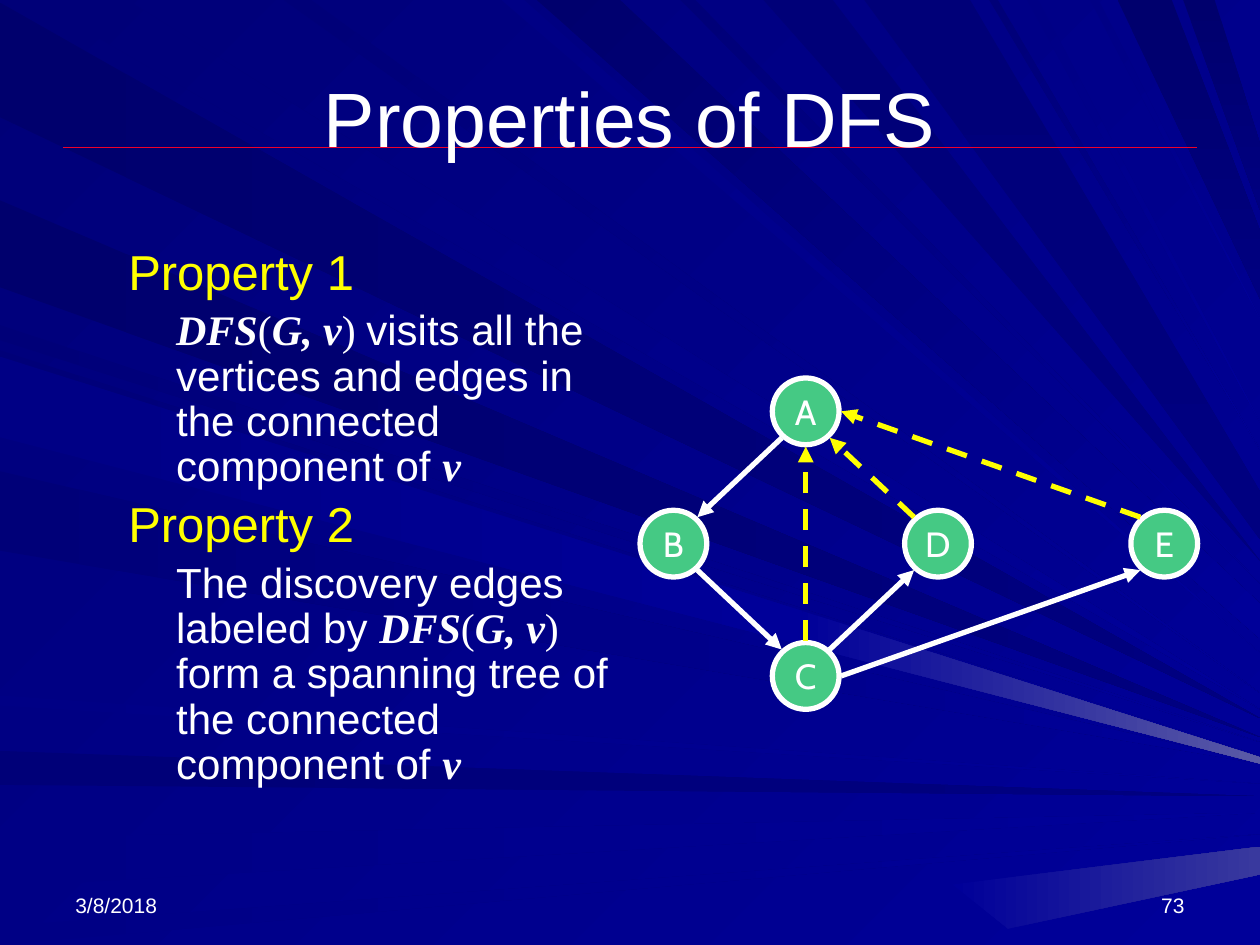
"""Builds the slide on the properties of depth-first search, with its traversal graph."""
from lxml import etree
from pptx import Presentation
from pptx.dml.color import RGBColor
from pptx.enum.dml import MSO_LINE
from pptx.enum.shapes import MSO_CONNECTOR, MSO_SHAPE
from pptx.enum.text import MSO_ANCHOR, PP_ALIGN
from pptx.oxml.ns import qn
from pptx.util import Inches, Pt

STRAIGHT, ELLIPSE, DASH = MSO_CONNECTOR.STRAIGHT, MSO_SHAPE.OVAL, MSO_LINE.DASH
TOP, MIDDLE, BOTTOM = MSO_ANCHOR.TOP, MSO_ANCHOR.MIDDLE, MSO_ANCHOR.BOTTOM
LEFT, CENTER, RIGHT = PP_ALIGN.LEFT, PP_ALIGN.CENTER, PP_ALIGN.RIGHT

THEME = {
    "white": "FFFFFF", "yellow": "FFFF00", "green": "45C984", "red": "EF0129",
    "night": "00006D", "deep": "000078", "navy": "000080", "dusk": "000085",
    "blue": "000099", "haze": "39399E", "glow": "5A5AA6",
    "sans": "Arial", "serif": "Times New Roman", "label": "Cabin",
    "title": 44, "heading": 28, "body": 24, "node": 20, "footer": 12,
    "stroke": 3, "rule": 0.75,
}

TITLE = "Properties of DFS"
CALL = [("DFS", "math"), ("(", "serif"), ("G, v", "math"), (") ", "serif")]
PROPERTIES = [
    ("Property 1", CALL + [
        ("visits all the vertices and edges in the connected component of ", "sans"), ("v", "math")]),
    ("Property 2", [("The discovery edges labeled by ", "sans")] + CALL + [
        ("form a spanning tree of the connected component of ", "sans"), ("v", "math")]),
]
FOOTERS = [("3/8/2018", 0.5, LEFT), ("73", 7.17, RIGHT)]

WIDTH, HEIGHT = 10, 7.5
NODE_SIZE, STEP = 0.53, 1.05
GRAPH_LEFT, GRAPH_TOP = 5.08, 3
NODES = {"D": (2, 1), "B": (0, 1), "A": (1, 0), "C": (1, 2), "E": (3.71, 1)}
REACH_X, REACH_Y, REACH = 0.19, 0.21, 0.28
PORTS = {
    "N": (0, -REACH), "S": (0, REACH), "E": (REACH, 0),
    "NW": (-REACH_X, -REACH_Y), "NE": (REACH_X, -REACH_Y),
    "SW": (-REACH_X, REACH_Y), "SE": (REACH_X, REACH_Y),
}
DISCOVERY_EDGES = [("A", "SW", "B", "NE"), ("B", "SE", "C", "NW"),
                   ("C", "NE", "D", "SW"), ("C", "E", "E", "SW")]
BACK_EDGES = [("D", "NW", "A", "SE"), ("C", "N", "A", "S"), ("E", "NW", "A", "E")]

LEFT_RAYS = [
    ("night", "navy", (0.02, 0.93, 5.7)), ("deep", "blue", (2.58, 2.7, 5.89)),
    ("night", "navy", (1.59, 2.28, 5.85)), ("deep", "navy", (5.96, 6.23, 6.32)),
    ("dusk", "blue", (6.65, 7.04, 6.45)), ("dusk", "blue", (7.35, 7.5, 6.62)),
    ("deep", "blue", (2.78, 3.42, 6)), ("deep", "blue", (3.74, 4.37, 6.06)),
    ("dusk", "blue", (5.52, 5.6, 6.22)),
]
TOP_RAYS = [
    ("deep", "blue", (0.26, 1.01, 5.63)), ("dusk", "blue", (3.98, 4.16, 5.18)),
    ("night", "blue", (4.26, 4.92, 4.79, 5.07)), ("deep", "blue", (5.4, 5.52, 4.63)),
    ("deep", "navy", (6.06, 6.61, 4.45)), ("night", "navy", (8.87, 9.3, 1.83, 2.37)),
    ("night", "navy", (9.39, 9.64, 1.14, 1.67)), ("deep", "blue", (2.25, 2.47, 5.5)),
    ("deep", "navy", (6.86, 7.7, 3.9, 4.28)), ("deep", "blue", (7.85, 7.92, 3.57)),
    ("dusk", "blue", (8.15, 8.24, 3.35)), ("dusk", "blue", (8.65, 8.72, 2.53)),
]
GLINTS = [
    ("blue", "haze", [(7.56, 7.02), (10, 6.72), (10, 6.94), (8, 7.37)]),
    ("dusk", "blue", [(0, 2.83), (6.37, 4.85), (6.33, 5.11), (0, 3.47)]),
    ("blue", "glow", [(6.37, 4.85), (10, 6.01), (10, 6.06), (6.33, 5.11)]),
]


def color(name):
    return RGBColor.from_string(THEME[name])


def paint(fill, first, last, angle=0):
    if first == last:
        fill.solid()
        fill.fore_color.rgb = color(first)
        return
    fill.gradient()
    fill.gradient_angle = -angle % 360
    for stop, shade in zip(fill.gradient_stops, (first, last)):
        stop.color.rgb = color(shade)


def style(font, size, face="sans", shade="white"):
    font.size = Pt(THEME[size])
    font.name = THEME["serif" if face == "math" else face]
    font.bold = font.italic = face == "math"
    font.color.rgb = color(shade)


def add_ray(page, first, last, angle, points):
    corners = [(Inches(x), Inches(y)) for x, y in points]
    builder = page.shapes.build_freeform(*corners[0], scale=1.0)
    builder.add_line_segments(corners[1:], close=True)
    ray = builder.convert_to_shape()
    paint(ray.fill, first, last, angle)
    ray.line.fill.background()
    ray.shadow.inherit = False


def add_rays(page):
    for first, last, (upper, lower, end) in LEFT_RAYS:
        add_ray(page, first, last, 0, [(0, upper), (0, lower), (WIDTH, end)])
    for first, last, (start, stop, *ends) in TOP_RAYS:
        angle = 90 if last == "navy" else 45
        add_ray(page, first, last, angle, [(start, 0), (stop, 0)] + [(WIDTH, end) for end in ends])
    for first, last, points in GLINTS:
        add_ray(page, first, last, 0, points)


def add_line(page, start, end, shade, width):
    line = page.shapes.add_connector(STRAIGHT, *(Inches(value) for value in (*start, *end)))
    line.line.color.rgb = color(shade)
    line.line.width = Pt(THEME[width])
    etree.SubElement(line._element.spPr, qn("a:effectLst"))
    return line


def node_corner(name):
    column, row = NODES[name]
    return GRAPH_LEFT + column * STEP, GRAPH_TOP + row * STEP


def port_point(name, port):
    return [corner + NODE_SIZE / 2 + shift for corner, shift in zip(node_corner(name), PORTS[port])]


def add_edge(page, edge, shade, dashed):
    source, source_port, target, target_port = edge
    arrow = add_line(page, port_point(source, source_port), port_point(target, target_port), shade, "stroke")
    if dashed:
        arrow.line.dash_style = DASH
    etree.SubElement(arrow.line._get_or_add_ln(), qn("a:tailEnd"), type="triangle")


def add_node(page, name):
    box = (*node_corner(name), NODE_SIZE, NODE_SIZE)
    node = page.shapes.add_shape(ELLIPSE, *(Inches(value) for value in box))
    node.shadow.inherit = False
    paint(node.fill, "green", "green")
    node.line.color.rgb = color("white")
    node.line.width = Pt(THEME["stroke"])
    node.text_frame.word_wrap = False
    write_line(node.text_frame, name, MIDDLE, CENTER, "node", "label")


def write_line(frame, text, anchor, alignment, size, face="sans"):
    frame.text = text
    frame.vertical_anchor = anchor
    frame.paragraphs[0].alignment = alignment
    style(frame.paragraphs[0].runs[0].font, size, face)


def add_box(page, *box):
    frame = page.shapes.add_textbox(*(Inches(value) for value in box)).text_frame
    frame.word_wrap = True
    return frame


def add_properties(page):
    frame = add_box(page, 0.92, 1.92, 4.17, 4.5)
    frame.vertical_anchor = TOP
    rows = []
    for heading, statement in PROPERTIES:
        rows += [("heading", "yellow", -0.38, [(heading, "sans")]), ("body", "white", 0, statement)]
    for index, (size, shade, indent, spans) in enumerate(rows):
        para = frame.add_paragraph() if index else frame.paragraphs[0]
        para.line_spacing = 0.9
        para.space_before = Pt(THEME[size] * 0.2 if index else 0)
        properties = para._p.get_or_add_pPr()
        properties.set("marL", str(Inches(0.38)))
        properties.set("indent", str(Inches(indent)))
        for text, face in spans:
            span = para.add_run()
            span.text = text
            style(span.font, size, face, shade)


def add_title(page):
    title = page.shapes.title
    page.shapes._spTree.append(title._element)
    title.left, title.top, title.width, title.height = (Inches(v) for v in (0.5, 0.3, 9, 1.25))
    write_line(title.text_frame, TITLE, MIDDLE, CENTER, "title")


def main():
    deck = Presentation()
    deck.slide_width, deck.slide_height = Inches(WIDTH), Inches(HEIGHT)
    page = deck.slides.add_slide(deck.slide_layouts.get_by_name("Title Only"))
    paint(page.background.fill, "deep", "blue", 45)
    add_rays(page)
    add_line(page, (0.5, 1.17), (9.5, 1.17), "red", "rule")
    for text, left, alignment in FOOTERS:
        write_line(add_box(page, left, 6.83, 2.33, 0.5), text, BOTTOM, alignment, "footer")
    add_title(page)
    add_properties(page)
    for name in NODES:
        add_node(page, name)
    for edges, shade, dashed in ((DISCOVERY_EDGES, "white", False), (BACK_EDGES, "yellow", True)):
        for edge in edges:
            add_edge(page, edge, shade, dashed)
    deck.save("out.pptx")


if __name__ == "__main__":
    main()
